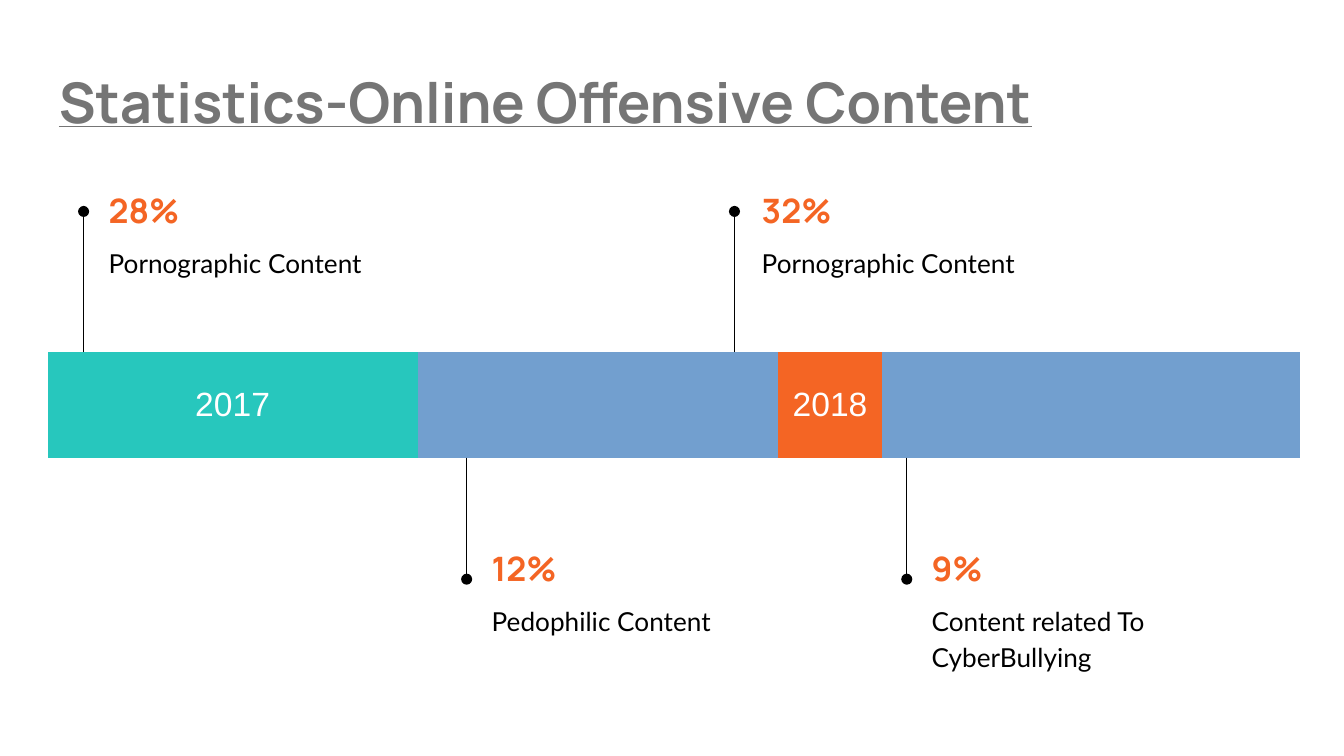
import pptx
import pptx.dml.color
import pptx.enum.shapes
import pptx.enum.text
import pptx.oxml
import pptx.oxml.ns
import pptx.util

Pt = pptx.util.Pt
RGB = pptx.dml.color.RGBColor
ANCHOR = pptx.enum.text.MSO_ANCHOR
QN = pptx.oxml.ns.qn

GREY = RGB(0x75, 0x75, 0x75)
TEAL = RGB(0x27, 0xC7, 0xBD)
ORANGE = RGB(0xF4, 0x65, 0x24)
BLACK = RGB(0, 0, 0)
WHITE = RGB(0xFF, 0xFF, 0xFF)
PLAIN = "{2D5ABB26-0587-4C30-8999-92F81FD0307C}"  # table style without grid


def set_run(para, text, font, size, color, bold=False):
    run = para.add_run()
    run.text = text
    run.font.name = font
    run.font.size = Pt(size)
    run.font.color.rgb = color
    run.font.bold = bold
    return run


def add_text(box, text, font, size, color, bold=False, anchor=ANCHOR.TOP):
    """Add a wrapped text box at (left, top, width, height) in points."""
    frame = slide.shapes.add_textbox(*map(Pt, box)).text_frame
    frame.word_wrap = True
    frame.vertical_anchor = anchor
    frame.margin_left = frame.margin_right = Pt(7.2)
    frame.margin_top = frame.margin_bottom = Pt(7.2)
    para = frame.paragraphs[0]
    return para, set_run(para, text, font, size, color, bold)


deck = pptx.Presentation()
deck.slide_width, deck.slide_height = Pt(720), Pt(405)
slide = deck.slides.add_slide(deck.slide_layouts[6])

# Title
para, run = add_text((24.5, 28.8, 671, 50.4),
                     "Statistics-Online Offensive Content",
                     "Manrope", 30, GREY, True)
run.font.underline = True

# Year band: months as columns, joined into one cell per year
TOP, HIGH = 188.6, 56.6
WIDTHS = [56] * 3 + [30.3, 81] + [56] * 7
YEARS = [(0, 3, TEAL, "2017"), (4, 11, ORANGE, "2018")]
table = slide.shapes.add_table(1, len(WIDTHS), Pt(25.5), Pt(TOP),
                               Pt(sum(WIDTHS)), Pt(HIGH)).table
table.first_row = table.horz_banding = False
table._tbl.tblPr.find(QN("a:tableStyleId")).text = PLAIN
for col, width in enumerate(WIDTHS):
    table.columns[col].width = Pt(width)
for first, last, color, year in YEARS:
    cell = table.cell(0, first)
    cell.merge(table.cell(0, last))
    cell.fill.solid()
    cell.fill.fore_color.rgb = color
    cell.vertical_anchor = ANCHOR.MIDDLE
    cell.margin_left = cell.margin_right = Pt(7.2)
    cell.margin_top = cell.margin_bottom = Pt(7.2)
    para = cell.text_frame.paragraphs[0]
    para.alignment = pptx.enum.text.PP_ALIGN.CENTER
    set_run(para, year, "Arial", 18, WHITE)

# Callouts: stem x, text left, above the band, share, label
CALLS = [(44.8, 51.1, True, "28%", "Pornographic Content"),
         (250, 256.3, False, "12%", "Pedophilic Content"),
         (393.5, 401, True, "32%", "Pornographic Content"),
         (485.8, 492, False, "9%", "Content related To CyberBullying")]
for stem, left, above, share, label in CALLS:
    start, end = (TOP, 113.3) if above else (TOP + HIGH, 310.3)
    head = 97.2 if above else 289
    line = slide.shapes.add_connector(
        pptx.enum.shapes.MSO_CONNECTOR.STRAIGHT,
        Pt(stem), Pt(start), Pt(stem), Pt(end))
    line.line.color.rgb = BLACK
    line.line.width = Pt(0.75)
    tail = pptx.oxml.parse_xml(
        f'<a:tailEnd {pptx.oxml.ns.nsdecls("a")} type="oval"/>')
    line.line._get_or_add_ln().append(tail)
    line._element.spPr.append(pptx.oxml.parse_xml(
        f'<a:effectLst {pptx.oxml.ns.nsdecls("a")}/>'))

    add_text((left, head, 184, 31), share, "Manrope", 18, ORANGE, True,
             ANCHOR.MIDDLE)
    para, run = add_text((left, head + 25.6, 184, 45.4), label,
                         "Lato", 14, BLACK)
    para.line_spacing = 1.15

deck.save("out.pptx")
